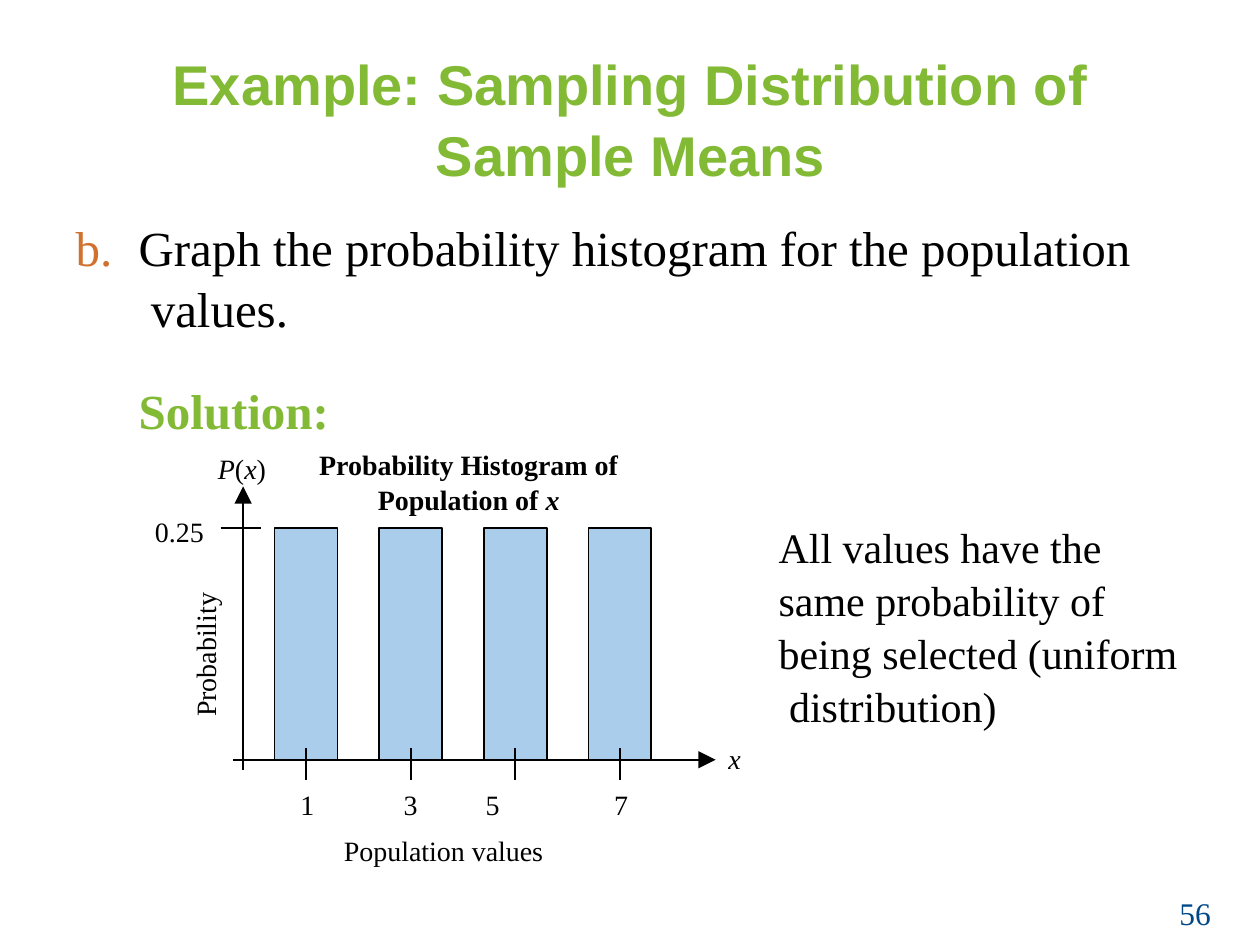
from lxml.etree import SubElement as Sub
from pptx import Presentation
from pptx.dml.color import RGBColor
from pptx.enum.shapes import MSO_CONNECTOR as Link, MSO_SHAPE as Shape
from pptx.enum.text import MSO_ANCHOR as Anchor, MSO_AUTO_SIZE as Fit, PP_ALIGN as Align
from pptx.oxml.ns import qn
from pptx.util import Inches, Pt

COLORS = {"green": "83BA35", "orange": "D1712F", "blue": "70ACDF",
          "navy": "004887", "black": "000000"}
SERIF = "Times New Roman"

TITLE = "Example: Sampling Distribution of\vSample Means"
TASK = "Graph the probability histogram for the population\v values."
ANSWER = "Solution:"
NOTE = "All values have the\vsame probability of\vbeing selected (uniform\v distribution)"
HEAD = "Probability Histogram of\vPopulation of *x*"
LABELS = [
    ("*P*(*x*)", 1.73, 3.57, 0.5),
    ("0.25", 1.23, 4.07, 0.5),
    ("*x*", 5.78, 5.87, 0.25),
    ("Population values", 2.73, 6.6, 1.8),
]
TICKS = [("1", 2.44), ("3", 3.26), ("5", 3.91), ("7", 4.93)]

BASE, TOP = 6.03, 4.19
LEFT, STEP, WIDE = 2.18, 0.83, 0.5


def paint(name):
    return RGBColor.from_string(COLORS[name])


def style(para, size, color="black", face=SERIF, bold=False, align=Align.LEFT):
    font = para.font
    font.size, font.name, font.bold = Pt(size), face, bold
    font.color.rgb = paint(color)
    para.alignment = align
    para.line_spacing = 1.05
    para.space_before = Pt(0)


def setup(shape, x, y, w, h):
    shape.left, shape.top, shape.width, shape.height = map(Inches, (x, y, w, h))
    frame = shape.text_frame
    frame.margin_left = frame.margin_right = 0
    frame.margin_top = frame.margin_bottom = 0
    frame.word_wrap, frame.auto_size = True, Fit.NONE
    frame.vertical_anchor = Anchor.TOP
    return frame


def label(slide, text, x, y, w, h=0.29, size=16, **look):
    frame = setup(slide.shapes.add_textbox(0, 0, 0, 0), x, y, w, h)
    para = frame.paragraphs[0]
    first, *rest = text.split("*")
    para.text = first
    for i, part in enumerate(rest):
        if part:
            run = para.add_run()
            run.text = part
            run.font.italic = i % 2 == 0
    style(para, size, **look)
    return frame


def line(slide, x1, y1, x2, y2, width=1, arrow=False):
    link = slide.shapes.add_connector(Link.STRAIGHT, *map(Inches, (x1, y1, x2, y2)))
    link.line.color.rgb = paint("black")
    link.line.width = Pt(width)
    props = link._element.spPr
    if arrow:
        Sub(props.find(qn("a:ln")), qn("a:tailEnd"), type="triangle", w="lg", len="lg")
    Sub(props, qn("a:effectLst"))


def bar(slide, x):
    box = slide.shapes.add_shape(
        Shape.RECTANGLE, *map(Inches, (x, TOP, WIDE, BASE - TOP)))
    box.shadow.inherit = False
    box.fill.solid()
    box.fill.fore_color.rgb = paint("blue")
    tone = box._element.spPr.find(qn("a:solidFill"))[0]
    Sub(tone, qn("a:alpha"), val="60000")
    box.line.color.rgb = paint("black")
    box.line.width = Pt(1)


def words(slide):
    title = setup(slide.shapes.title, 0.86, 0.37, 8.29, 1.1)
    title.text = TITLE
    style(title.paragraphs[0], 32, "green", "Arial", True, Align.CENTER)

    body = setup(slide.placeholders[1], 0.6, 1.7, 8.6, 1.74)
    body.text = TASK
    task, answer = body.paragraphs[0], body.add_paragraph()
    answer.text = ANSWER
    style(task, 28)
    style(answer, 28, "green", bold=True)
    answer.space_before = Pt(22.8)
    for para, indent in ((task, -0.5), (answer, 0)):
        props = para._p.get_or_add_pPr()
        props.set("marL", str(Inches(0.5)))
        props.set("indent", str(Inches(indent)))
    props = task._p.pPr
    tint = Sub(props, qn("a:buClr"))
    Sub(tint, qn("a:srgbClr"), val=COLORS["orange"])
    Sub(props, qn("a:buFont"), typeface=SERIF)
    Sub(props, qn("a:buAutoNum"), type="alphaLcPeriod", startAt="2")
    Sub(answer._p.pPr, qn("a:buNone"))
    for para in (task, answer):
        props = para._p.pPr
        props.append(props.find(qn("a:defRPr")))

    label(slide, NOTE, 6.18, 4.12, 3.4, 1.63, 24)
    label(slide, "56", 9.36, 7.08, 0.4, 0.3, 18, color="navy")


def graph(slide):
    for i in range(len(TICKS)):
        x = LEFT + i * STEP
        bar(slide, x)
        line(slide, x + WIDE / 2, 5.94, x + WIDE / 2, 6.19)
    line(slide, 1.93, 6.11, 1.93, 3.86, 1.25, True)
    line(slide, 1.85, BASE, 5.68, BASE, 1.25, True)
    line(slide, 1.75, TOP, 2.07, TOP)
    for text, x, y, w in LABELS:
        label(slide, text, x, y, w)
    for text, x in TICKS:
        label(slide, text, x - 0.15, 6.24, 0.3, align=Align.CENTER)
    label(slide, HEAD, 2.42, 3.54, 2.6, 0.56, bold=True, align=Align.CENTER)
    side = label(slide, "Probability", 1.48, 4.68, 0.27, 1.01)
    side._txBody.bodyPr.set("vert", "vert270")


def main():
    """Build the slide on the sampling distribution of sample means."""
    deck = Presentation()
    deck.slide_width, deck.slide_height = Inches(10), Inches(7.5)
    slide = deck.slides.add_slide(deck.slide_layouts[1])
    words(slide)
    graph(slide)
    deck.save("out.pptx")


if __name__ == "__main__":
    main()
